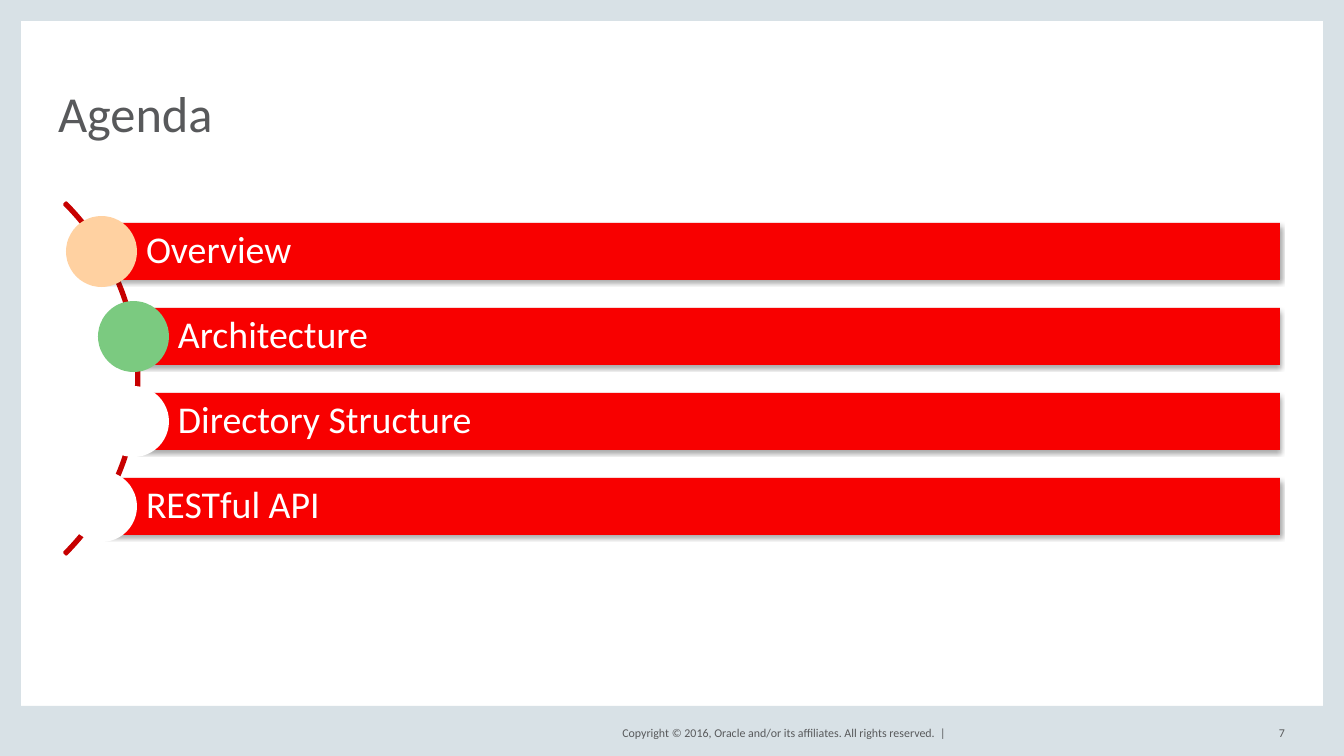
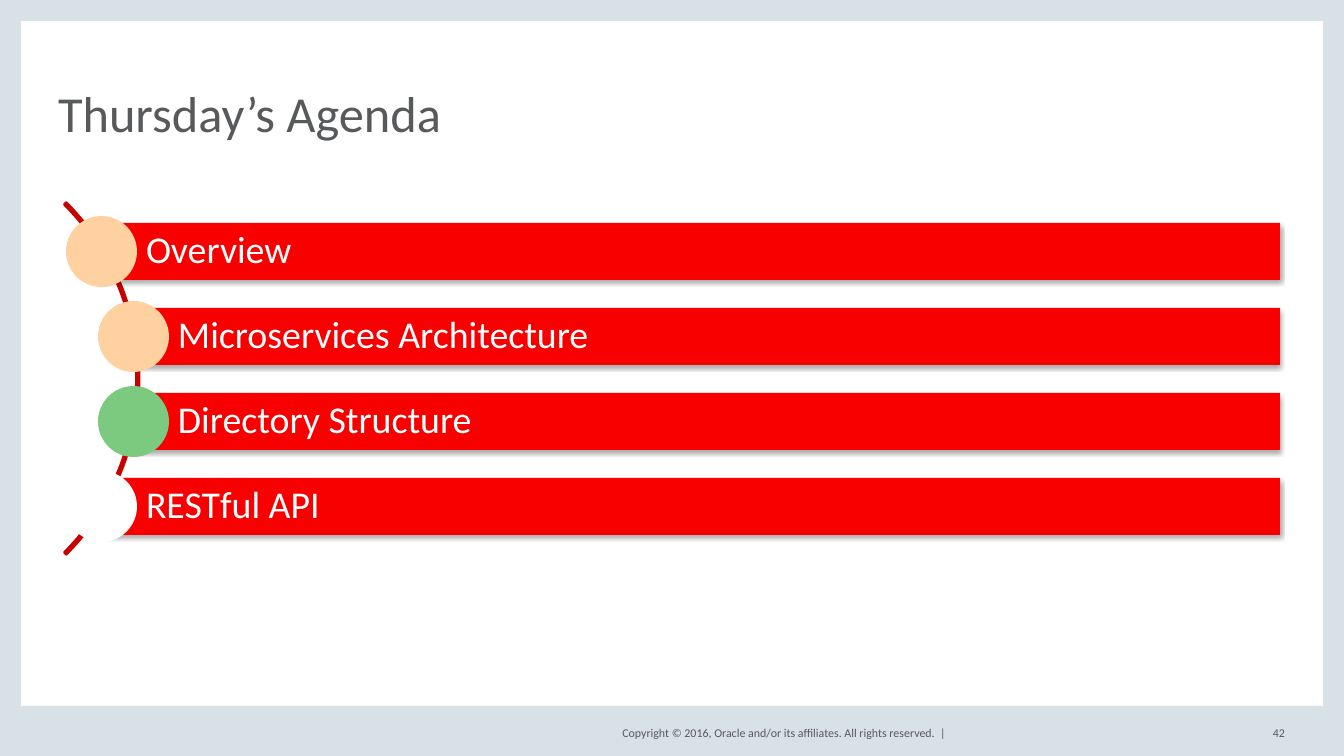
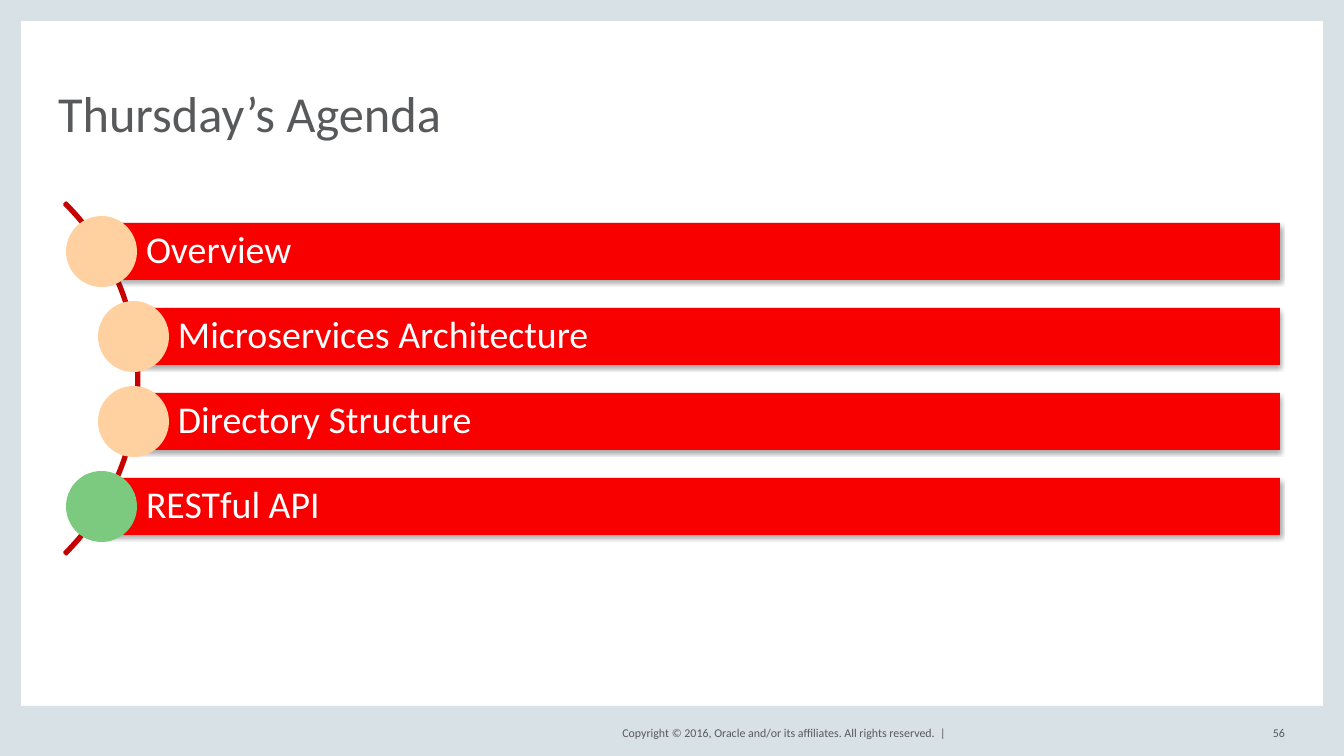
from lxml import etree
from pptx import Presentation
from pptx.dml.color import RGBColor
from pptx.enum.shapes import MSO_SHAPE
from pptx.enum.text import MSO_ANCHOR, MSO_AUTO_SIZE, PP_ALIGN
from pptx.oxml.ns import qn
from pptx.util import Emu, Pt

RECT, OVAL, ARC = MSO_SHAPE.RECTANGLE, MSO_SHAPE.OVAL, MSO_SHAPE.BLOCK_ARC
MIDDLE, BOTTOM = MSO_ANCHOR.MIDDLE, MSO_ANCHOR.BOTTOM
LEFT, RIGHT = PP_ALIGN.LEFT, PP_ALIGN.RIGHT

FONT = "Calibri"
FRAME = RGBColor(0xD8, 0xE1, 0xE6)
GRAY = RGBColor(0x58, 0x59, 0x5B)
RED = RGBColor(0xF8, 0x00, 0x00)
DARK_RED = RGBColor(0xC7, 0x00, 0x00)
WHITE = RGBColor(0xFF, 0xFF, 0xFF)
PEACH = RGBColor(0xFF, 0xD1, 0xA1)
GREEN = RGBColor(0x7B, 0xCA, 0x80)

SLIDE_W, SLIDE_H = 1344, 756
EDGE, FOOT_TOP = 21, 706
AGENDA_BOX = (58, 191, 1222, 376)
COPYRIGHT = "Copyright © 2016, Oracle and/or its affiliates. All rights reserved.  |"

# Page number, title, topics and position of the current topic
AGENDAS = [
    ("7", "Agenda",
     ["Overview", "Architecture", "Directory Structure", "RESTful API"], 1),
    ("42", "Thursday’s Agenda",
     ["Overview", "Microservices Architecture", "Directory Structure", "RESTful API"], 2),
    ("56", "Thursday’s Agenda",
     ["Overview", "Microservices Architecture", "Directory Structure", "RESTful API"], 3),
]


def px(n):
    return Emu(round(n * 12192000 / SLIDE_W))


def add_shape(s, kind, box, fill=None):
    sp = s.shapes.add_shape(kind, *map(px, box))
    sp.shadow.inherit = False
    sp.line.fill.background()
    if fill is None:
        sp.fill.background()
    else:
        sp.fill.solid()
        sp.fill.fore_color.rgb = fill
    return sp


def write(sp, text, size, color, align=LEFT, anchor=MIDDLE, insets=(0, 0, 0, 0), spacing=1.0):
    tf = sp.text_frame
    tf.word_wrap = True
    tf.auto_size = MSO_AUTO_SIZE.NONE
    tf.vertical_anchor = anchor
    tf.margin_left, tf.margin_top, tf.margin_right, tf.margin_bottom = map(px, insets)
    p = tf.paragraphs[0]
    p.alignment = align
    p.line_spacing = spacing
    r = p.add_run()
    r.text = text
    r.font.name = FONT
    r.font.size = Pt(size)
    r.font.color.rgb = color


def add_label(s, box, text):
    sp = s.shapes.add_textbox(*map(px, box))
    write(sp, text, 8.5, GRAY, RIGHT)
    return sp


def add_soft_shadow(sp):
    effects = sp.element.spPr.find(qn("a:effectLst"))
    shadow = etree.SubElement(effects, qn("a:outerShdw"), blurRad="39370", dist="22860",
                              dir="5400000", rotWithShape="0")
    color = etree.SubElement(shadow, qn("a:srgbClr"), val="000000")
    etree.SubElement(color, qn("a:alpha"), val="35000")


def build_frame(s, layout):
    """Draw the frame and copyright line, then hand them to the layout."""
    bands = [
        (0, 0, EDGE, SLIDE_H),
        (SLIDE_W - EDGE, 0, EDGE, SLIDE_H),
        (0, FOOT_TOP, SLIDE_W, SLIDE_H - FOOT_TOP),
        (0, 0, SLIDE_W, EDGE),
    ]
    parts = [add_shape(s, RECT, box, FRAME) for box in bands]
    parts.append(add_label(s, (593, 723, 353, 20), COPYRIGHT))
    for i, sp in enumerate(parts):
        sp.element.xpath(".//p:cNvPr")[0].set("id", str(100 + i))
        layout.shapes.element.insert(2 + i, sp.element)


def add_title(s, text):
    title = s.shapes.title
    title.left, title.top, title.width, title.height = map(px, (58, 44, 1227, 98))
    write(title, text, 36, GRAY, anchor=BOTTOM, spacing=0.8)


def add_agenda(s, box, topics, current):
    left, top, width, height = box
    bar_h, dot, pitch = 57, 71, 85

    # Curve that joins the dots
    side = 497
    curve = add_shape(s, ARC, (left + 81 - side, top + (height - side) // 2, side, side))
    for i, value in enumerate((189, 27, 0.005)):
        curve.adjustments[i] = value
    curve.line.color.rgb = DARK_RED
    curve.line.width = Pt(2)

    # Topic bars, each with its status dot
    for i, topic in enumerate(topics):
        indent = 43 if i in (0, len(topics) - 1) else 75
        x, y = left + indent, top + 32 + i * pitch
        bar = add_shape(s, RECT, (x, y, width - indent, bar_h), RED)
        add_soft_shadow(bar)
        write(bar, topic, 27, WHITE, insets=(45, 7, 7, 7), spacing=0.9)
        status = PEACH if i < current else GREEN if i == current else WHITE
        add_shape(s, OVAL, (x - dot // 2, y + (bar_h - dot) // 2, dot, dot), status)


def main():
    prs = Presentation()
    prs.slide_width, prs.slide_height = px(SLIDE_W), px(SLIDE_H)
    layout = prs.slide_layouts[5]
    for i, (number, title, topics, current) in enumerate(AGENDAS):
        s = prs.slides.add_slide(layout)
        if i == 0:
            build_frame(s, layout)
        add_title(s, title)
        add_label(s, (1243, 723, 42, 20), number)
        add_agenda(s, AGENDA_BOX, topics, current)
    prs.save("out.pptx")


if __name__ == "__main__":
    main()
